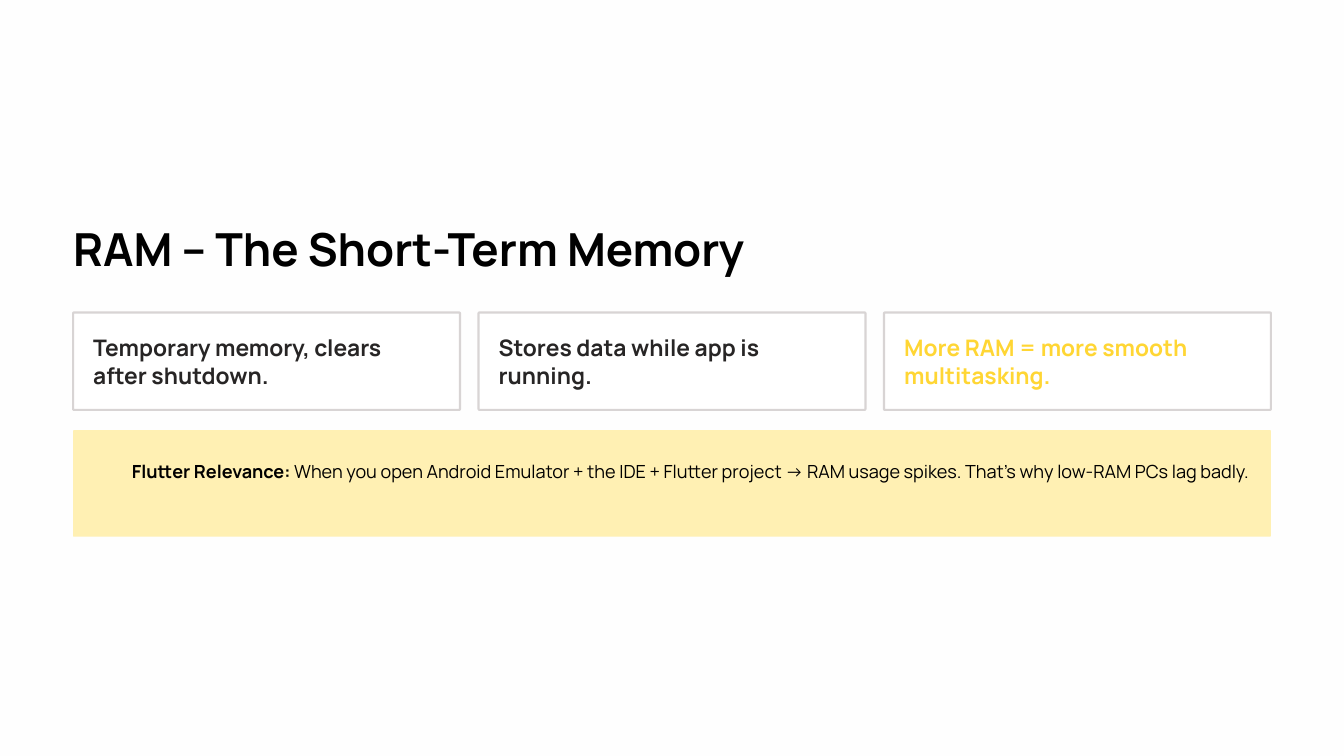
from dataclasses import dataclass

from pptx import Presentation
from pptx.dml.color import RGBColor
from pptx.enum.shapes import MSO_SHAPE
from pptx.enum.text import MSO_ANCHOR, PP_ALIGN
from pptx.util import Inches, Pt

ROUNDED = MSO_SHAPE.ROUNDED_RECTANGLE
TOP = MSO_ANCHOR.TOP
LEFT = PP_ALIGN.LEFT

SLIDE_WIDTH, SLIDE_HEIGHT = 16, 9
MARGIN = 0.87
CONTENT_WIDTH = SLIDE_WIDTH - 2 * MARGIN
GUTTER = 0.22
PADDING, PADDING_RIGHT = 0.24, 0.28
CORNER = 0.01
TITLE_TOP, TITLE_WIDTH, TEXT_HEIGHT = 2.61, 8.71, 0.68
CARD_TOP, CARD_HEIGHT = 3.72, 1.16
NOTE_TOP, NOTE_HEIGHT = 5.12, 1.27
NOTE_INDENT, NOTE_PADDING = 0.7, 0.27


@dataclass(frozen=True)
class TextStyle:
    """Type size and line height in points."""
    size: float
    leading: float


@dataclass(frozen=True)
class Theme:
    """Font, colours and type sizes of the slide."""
    font: str = "Manrope"
    page: str = "FEFEFE"
    card: str = "FFFFFF"
    border: str = "D8D4D4"
    border_width: float = 1.8
    note: str = "FFF0B3"
    ink: str = "000000"
    body: str = "272525"
    accent: str = "FFD634"
    title_style: TextStyle = TextStyle(39, 48.5)
    card_style: TextStyle = TextStyle(19.5, 24)
    note_style: TextStyle = TextStyle(15.5, 25)


THEME = Theme()

TITLE = "RAM – The Short-Term Memory"
CARDS = [
    ("Temporary memory, clears after shutdown.", THEME.body),
    ("Stores data while app is running.", THEME.body),
    ("More RAM = more smooth multitasking.", THEME.accent),
]
NOTE = [
    ("Flutter Relevance:", True),
    (" When you open Android Emulator + the IDE + Flutter project → RAM usage "
     "spikes. That's why low-RAM PCs lag badly.", False),
]


def add_panel(page, left, top, width, height, fill, border=None):
    """Draw a slightly rounded panel, with a border if a colour is given."""
    panel = page.shapes.add_shape(
        ROUNDED, Inches(left), Inches(top), Inches(width), Inches(height))
    panel.shadow.inherit = False
    panel.adjustments[0] = CORNER
    panel.fill.solid()
    panel.fill.fore_color.rgb = RGBColor.from_string(fill)
    if border:
        panel.line.color.rgb = RGBColor.from_string(border)
        panel.line.width = Pt(THEME.border_width)
    else:
        panel.line.fill.background()


def add_text(page, left, top, width, spans, style, color, wrap=True):
    """Add one paragraph made of (text, bold) spans in a box without insets."""
    box = page.shapes.add_textbox(
        Inches(left), Inches(top), Inches(width), Inches(TEXT_HEIGHT))
    frame = box.text_frame
    frame.word_wrap = wrap
    frame.vertical_anchor = TOP
    frame.margin_left = frame.margin_right = 0
    frame.margin_top = frame.margin_bottom = 0
    para = frame.paragraphs[0]
    para.alignment = LEFT
    para.line_spacing = Pt(style.leading)
    for text, bold in spans:
        span = para.add_run()
        span.text = text
        span.font.name = THEME.font
        span.font.size = Pt(style.size)
        span.font.bold = bold
        span.font.color.rgb = RGBColor.from_string(color)


def add_cards(page):
    """Lay out the cards in equal columns across the content width."""
    width = (CONTENT_WIDTH - GUTTER * (len(CARDS) - 1)) / len(CARDS)
    for column, (text, color) in enumerate(CARDS):
        left = MARGIN + column * (width + GUTTER)
        add_panel(page, left, CARD_TOP, width, CARD_HEIGHT,
                  THEME.card, THEME.border)
        add_text(page, left + PADDING, CARD_TOP + PADDING,
                 width - PADDING - PADDING_RIGHT, [(text, True)],
                 THEME.card_style, color)


def add_note(page):
    """Add the highlighted note below the cards."""
    add_panel(page, MARGIN, NOTE_TOP, CONTENT_WIDTH, NOTE_HEIGHT, THEME.note)
    add_text(page, MARGIN + NOTE_INDENT, NOTE_TOP + NOTE_PADDING,
             CONTENT_WIDTH - NOTE_INDENT - PADDING, NOTE,
             THEME.note_style, THEME.ink)


def main():
    """Build the slide and save the deck."""
    deck = Presentation()
    deck.slide_width = Inches(SLIDE_WIDTH)
    deck.slide_height = Inches(SLIDE_HEIGHT)
    page = deck.slides.add_slide(deck.slide_layouts[6])
    page.background.fill.solid()
    page.background.fill.fore_color.rgb = RGBColor.from_string(THEME.page)
    add_text(page, MARGIN, TITLE_TOP, TITLE_WIDTH, [(TITLE, True)],
             THEME.title_style, THEME.ink, wrap=False)
    add_cards(page)
    add_note(page)
    deck.save("out.pptx")


if __name__ == "__main__":
    main()
